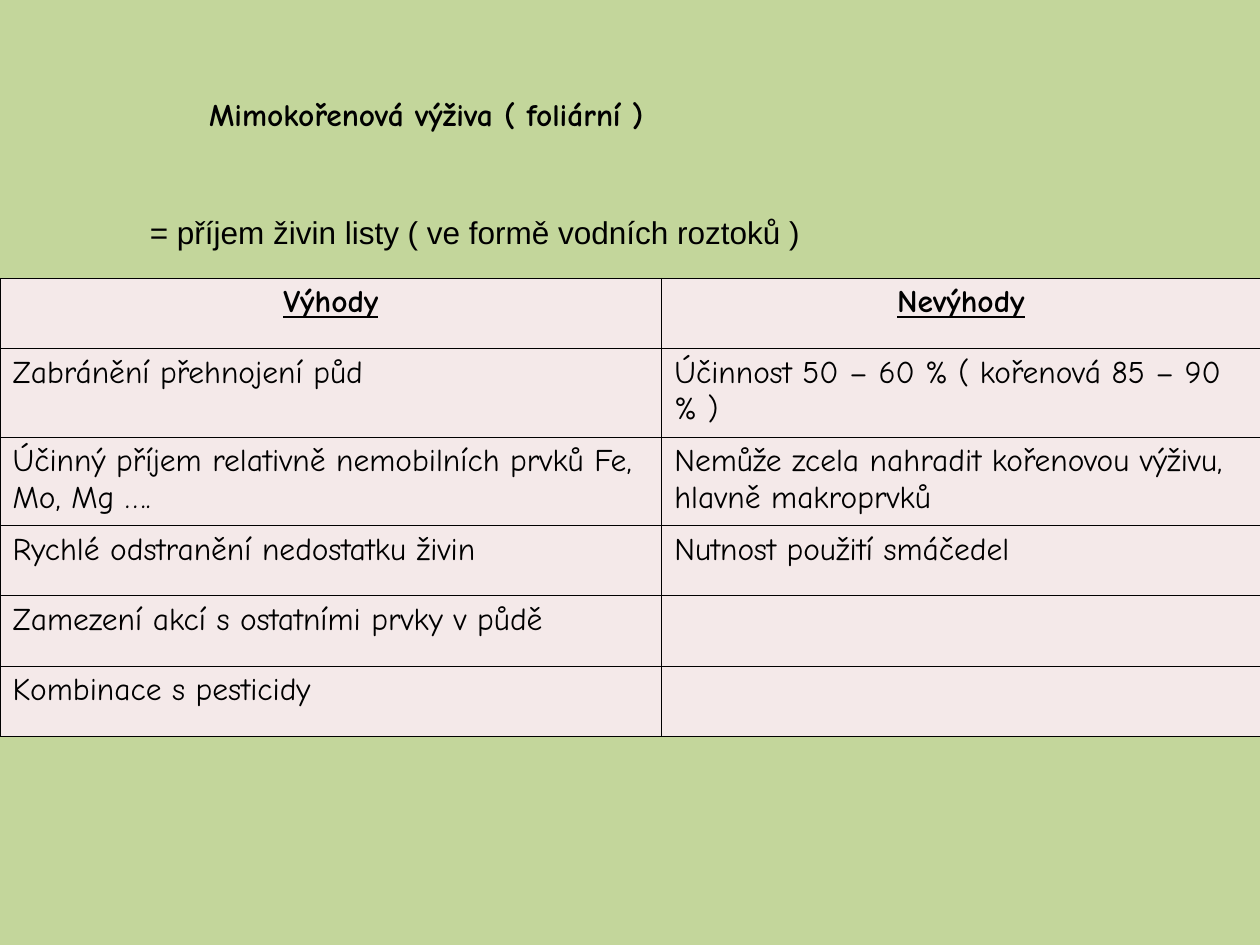
from lxml import etree
from pptx import Presentation
from pptx import util as u
from pptx.dml.color import RGBColor
from pptx.enum import text
from pptx.oxml.ns import qn

GREEN = RGBColor(0xC3, 0xD6, 0x9B)
PINK = RGBColor(0xF4, 0xE9, 0xE9)
BLACK = RGBColor(0, 0, 0)

COLUMNS = [13.34, 12.06]
ROWS = [
    (1.42, "Výhody", "Nevýhody"),
    (1.78, "Zabránění přehnojení půd", "Účinnost 50 – 60 % ( kořenová 85 – 90 % )"),
    (1.78, "Účinný příjem relativně nemobilních prvků Fe, Mo, Mg ….",
     "Nemůže zcela nahradit kořenovou výživu, hlavně makroprvků"),
    (1.42, "Rychlé odstranění nedostatku živin", "Nutnost použití smáčedel"),
    (1.42, "Zamezení akcí s ostatními prvky v půdě", ""),
    (1.42, "Kombinace s pesticidy", ""),
]


class SlideBuilder:
    font = "Comic Neue"
    size = u.Pt(18)
    border = u.Pt(0.45)

    def __init__(self, slide):
        self.slide = slide
        slide.background.fill.solid()
        slide.background.fill.fore_color.rgb = GREEN

    def add_text(self, tf, words, font=None, bold=False, underline=False,
                 align=text.PP_ALIGN.LEFT):
        p = tf.paragraphs[0]
        p.alignment = align
        r = p.add_run()
        r.text = words
        r.font.name = font or self.font
        r.font.size = self.size
        r.font.bold = bold
        r.font.underline = underline
        r.font.color.rgb = BLACK

    def fit(self, tf):
        tf.word_wrap = True
        tf.auto_size = text.MSO_AUTO_SIZE.NONE
        tf.vertical_anchor = text.MSO_ANCHOR.TOP

    def title(self, words, left, top, width, height):
        sp = self.slide.shapes.title
        sp.left, sp.top, sp.width, sp.height = map(u.Cm, (left, top, width, height))
        self.fit(sp.text_frame)
        self.add_text(sp.text_frame, words, bold=True)

    def text_box(self, words, left, top, width, height, font):
        sp = self.slide.shapes.add_textbox(*map(u.Cm, (left, top, width, height)))
        self.fit(sp.text_frame)
        self.add_text(sp.text_frame, words, font)

    def outline(self, cell):
        """Draw a thin black line on all four sides of the cell."""
        tc_pr = cell._tc.get_or_add_tcPr()
        for i, side in enumerate(("lnL", "lnR", "lnT", "lnB")):
            ln = etree.Element(qn(f"a:{side}"), w=str(int(self.border)))
            fill = etree.SubElement(ln, qn("a:solidFill"))
            etree.SubElement(fill, qn("a:srgbClr"), val=str(BLACK))
            tc_pr.insert(i, ln)

    def table(self, columns, rows, left, top):
        height = sum(row[0] for row in rows)
        frame = self.slide.shapes.add_table(
            len(rows), len(columns), *map(u.Cm, (left, top, sum(columns), height)))
        table = frame.table
        for column, width in zip(table.columns, columns):
            column.width = u.Cm(width)
        for i, (row_height, *words) in enumerate(rows):
            table.rows[i].height = u.Cm(row_height)
            header = i == 0
            align = text.PP_ALIGN.CENTER if header else text.PP_ALIGN.LEFT
            for j, entry in enumerate(words):
                cell = table.cell(i, j)
                cell.fill.solid()
                cell.fill.fore_color.rgb = PINK
                self.outline(cell)
                if entry:
                    self.add_text(cell.text_frame, entry, bold=header,
                                  underline=header, align=align)


def main():
    prs = Presentation()
    prs.slide_width, prs.slide_height = u.Cm(25.4), u.Cm(19.05)
    s = SlideBuilder(prs.slides.add_slide(prs.slide_layouts[5]))
    s.title("Mimokořenová výživa ( foliární )", 3.96, 1.78, 11.5, 1.02)
    s.text_box("= příjem živin listy ( ve formě vodních roztoků )",
               2.77, 4.17, 21.44, 1.02, "Arial")
    s.table(COLUMNS, ROWS, 0, 5.61)
    prs.save("out.pptx")


if __name__ == "__main__":
    main()
